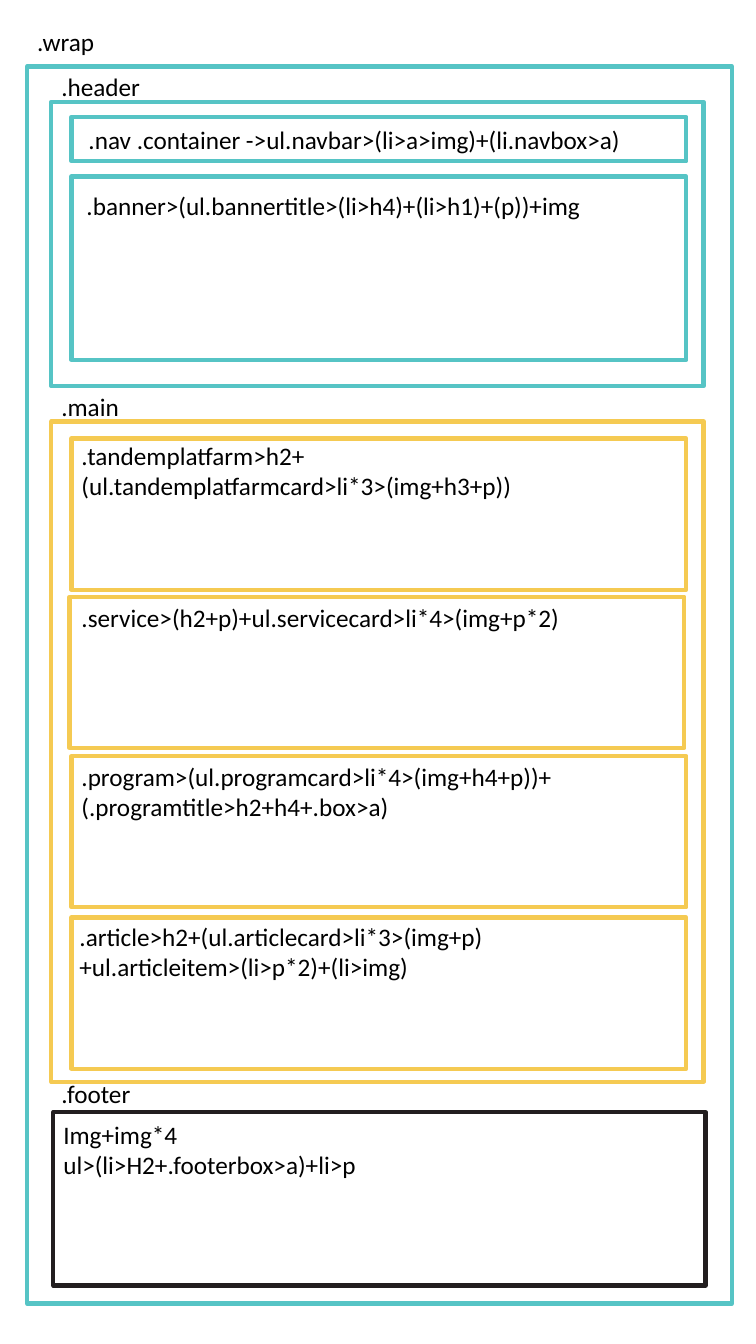
"""Builds a one-slide wireframe of a web page with its markup outline."""
from pptx import Presentation
from pptx.dml.color import RGBColor
from pptx.enum import shapes, text
from pptx.util import Inches, Pt

COLORS = {"teal": "56C4C5", "yellow": "F5CA52", "dark": "221E1F", "text": "000000"}

FRAMES = [
    ("teal", 0.27, 0.66, 6.99, 12.27),
    ("teal", 0.51, 1.01, 6.47, 2.82),
    ("teal", 0.71, 1.16, 6.1, 0.44),
    ("teal", 0.71, 1.75, 6.1, 1.82),
    ("yellow", 0.51, 4.18, 6.47, 6.55),
    ("yellow", 0.71, 4.35, 6.1, 1.5),
    ("yellow", 0.69, 5.92, 6.1, 1.5),
    ("yellow", 0.71, 7.5, 6.1, 1.5),
    ("yellow", 0.71, 9.1, 6.1, 1.5),
    ("dark", 0.53, 11.03, 6.47, 1.72),
]

LABELS = [
    (".wrap", 0.27, 0.21, 1.84, 0.4),
    (".header", 0.51, 0.66, 1.84, 0.4),
    (".nav .container ->ul.navbar>(li>a>img)+(li.navbox>a)", 0.78, 1.18, 5.76, 0.4),
    (".banner>(ul.bannertitle>(li>h4)+(li>h1)+(p))+img", 0.76, 1.84, 5.84, 0.4),
    (".main", 0.51, 3.83, 1.84, 0.4),
    (".tandemplatfarm>h2+(ul.tandemplatfarmcard>li*3>(img+h3+p))", 0.71, 4.32, 6.08, 0.71),
    (".service>(h2+p)+ul.servicecard>li*4>(img+p*2)", 0.71, 5.92, 5.99, 0.4),
    (".program>(ul.programcard>li*4>(img+h4+p))+(.programtitle>h2+h4+.box>a)", 0.71, 7.5, 5.93, 0.71),
    (".article>h2+(ul.articlecard>li*3>(img+p)+ul.articleitem>(li>p*2)+(li>img)", 0.69, 9.09, 5.93, 0.71),
    (".footer", 0.51, 10.65, 1.84, 0.4),
    ("Img+img*4\nul>(li>H2+.footerbox>a)+li>p", 0.53, 11.05, 5.93, 0.71),
]

presentation = Presentation()
presentation.slide_width = Inches(7.5)
presentation.slide_height = Inches(13.33)
slide = presentation.slides.add_slide(presentation.slide_layouts[6])


def add_label(content, *, left, top, width, height, size=18, font="Calibri", color="text"):
    box = slide.shapes.add_textbox(Inches(left), Inches(top), Inches(width), Inches(height))
    frame = box.text_frame
    frame.word_wrap = True
    frame.auto_size = text.MSO_AUTO_SIZE.SHAPE_TO_FIT_TEXT
    frame.text = content
    for paragraph in frame.paragraphs:
        paragraph.font.size = Pt(size)
        paragraph.font.name = font
        paragraph.font.color.rgb = RGBColor.from_string(COLORS[color])


for color, *box in FRAMES:
    shape = slide.shapes.add_shape(shapes.MSO_SHAPE.RECTANGLE, *map(Inches, box))
    shape.shadow.inherit = False
    shape.fill.background()
    shape.line.color.rgb = RGBColor.from_string(COLORS[color])
    shape.line.width = Pt(3)

for content, left, top, width, height in LABELS:
    add_label(content, left=left, top=top, width=width, height=height)

presentation.save("out.pptx")
